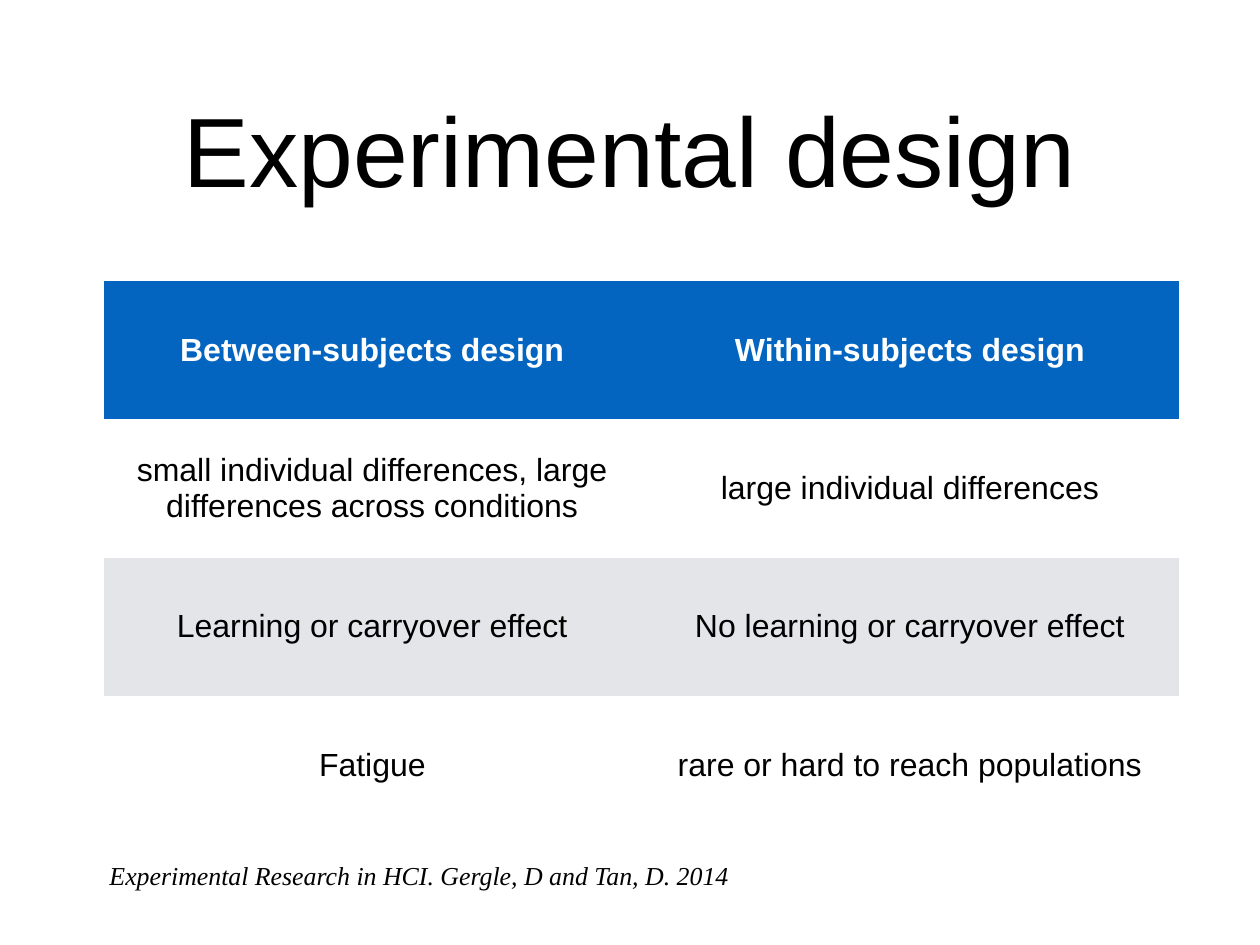
from dataclasses import dataclass

from lxml.etree import SubElement
from pptx import Presentation
from pptx.dml.color import RGBColor
from pptx.enum.text import MSO_ANCHOR, MSO_AUTO_SIZE, PP_ALIGN
from pptx.oxml.ns import qn
from pptx.slide import Slide
from pptx.table import _Cell
from pptx.text.text import TextFrame
from pptx.util import Pt


@dataclass(frozen=True)
class TextStyle:
    size: float
    font: str = "Arial"
    color: str = "000000"
    bold: bool = False
    italic: bool = False
    align: PP_ALIGN = PP_ALIGN.CENTER
    space_before: float = 0


@dataclass(frozen=True)
class Theme:
    title: TextStyle = TextStyle(80)
    header: TextStyle = TextStyle(26, color="FFFFFF", bold=True)
    body: TextStyle = TextStyle(26)
    citation: TextStyle = TextStyle(
        21, "Times New Roman", italic=True, align=PP_ALIGN.LEFT, space_before=12
    )
    header_fill: str = "0365C0"
    band_fills: tuple[str, str] = ("E3E5E8", "FFFFFF")
    inset: float = 4


@dataclass(frozen=True)
class Area:
    left: float
    top: float
    width: float
    height: float

    def lengths(self) -> tuple[Pt, Pt, Pt, Pt]:
        return Pt(self.left), Pt(self.top), Pt(self.width), Pt(self.height)


@dataclass(frozen=True)
class Label:
    text: str
    area: Area
    style: TextStyle
    inset: float
    wrap: bool


THEME = Theme()
LABELS = (
    Label("Experimental design", Area(74.9, 35.3, 874, 170), THEME.title, 0, True),
    Label(
        "Experimental Research in HCI. Gergle, D and Tan, D. 2014",
        Area(85, 681.8, 515.5, 59), THEME.citation, THEME.inset, False,
    ),
)
TABLE_AREA = Area(84.2, 228.2, 874, 450)
DESIGN_ROWS = (
    ("Between-subjects design", "Within-subjects design"),
    (
        "small individual differences, large differences across conditions",
        "large individual differences",
    ),
    ("Learning or carryover effect", "No learning or carryover effect"),
    ("Fatigue", "rare or hard to reach populations"),
)


def write_text(frame: TextFrame, text: str, style: TextStyle) -> None:
    frame.text = text
    para = frame.paragraphs[0]
    para.alignment = style.align
    para.space_before = Pt(style.space_before)
    font = para.runs[0].font
    font.name = style.font
    font.size = Pt(style.size)
    font.bold = style.bold
    font.italic = style.italic
    font.color.rgb = RGBColor.from_string(style.color)


def set_insets(target: TextFrame | _Cell, inset: float) -> None:
    target.margin_left = target.margin_right = Pt(inset)
    target.margin_top = target.margin_bottom = Pt(inset)
    target.vertical_anchor = MSO_ANCHOR.MIDDLE


def add_label(page: Slide, label: Label) -> None:
    box = page.shapes.add_textbox(*label.area.lengths())
    frame = box.text_frame
    write_text(frame, label.text, label.style)
    set_insets(frame, label.inset)
    frame.word_wrap = label.wrap
    frame.auto_size = MSO_AUTO_SIZE.NONE if label.wrap else MSO_AUTO_SIZE.SHAPE_TO_FIT_TEXT


def format_cell(cell: _Cell, text: str, style: TextStyle, fill: str) -> None:
    write_text(cell.text_frame, text, style)
    set_insets(cell, THEME.inset)
    properties = cell._tc.get_or_add_tcPr()
    for side in ("lnL", "lnR", "lnT", "lnB"):
        border = SubElement(properties, qn(f"a:{side}"), w="0")
        SubElement(border, qn("a:noFill"))
    cell.fill.solid()
    cell.fill.fore_color.rgb = RGBColor.from_string(fill)


def add_design_table(page: Slide) -> None:
    row_count, column_count = len(DESIGN_ROWS), len(DESIGN_ROWS[0])
    table = page.shapes.add_table(row_count, column_count, *TABLE_AREA.lengths()).table
    for column in table.columns:
        column.width = Pt(TABLE_AREA.width / column_count)
    for row_index, texts in enumerate(DESIGN_ROWS):
        table.rows[row_index].height = Pt(TABLE_AREA.height / row_count)
        is_header = row_index == 0
        style = THEME.header if is_header else THEME.body
        fill = THEME.header_fill if is_header else THEME.band_fills[row_index % 2]
        for column_index, text in enumerate(texts):
            format_cell(table.cell(row_index, column_index), text, style, fill)


def main() -> None:
    deck = Presentation()
    deck.slide_width, deck.slide_height = Pt(1024), Pt(768)
    page = deck.slides.add_slide(deck.slide_layouts[6])
    title, citation = LABELS
    add_label(page, title)
    add_design_table(page)
    add_label(page, citation)
    deck.save("out.pptx")


if __name__ == "__main__":
    main()
